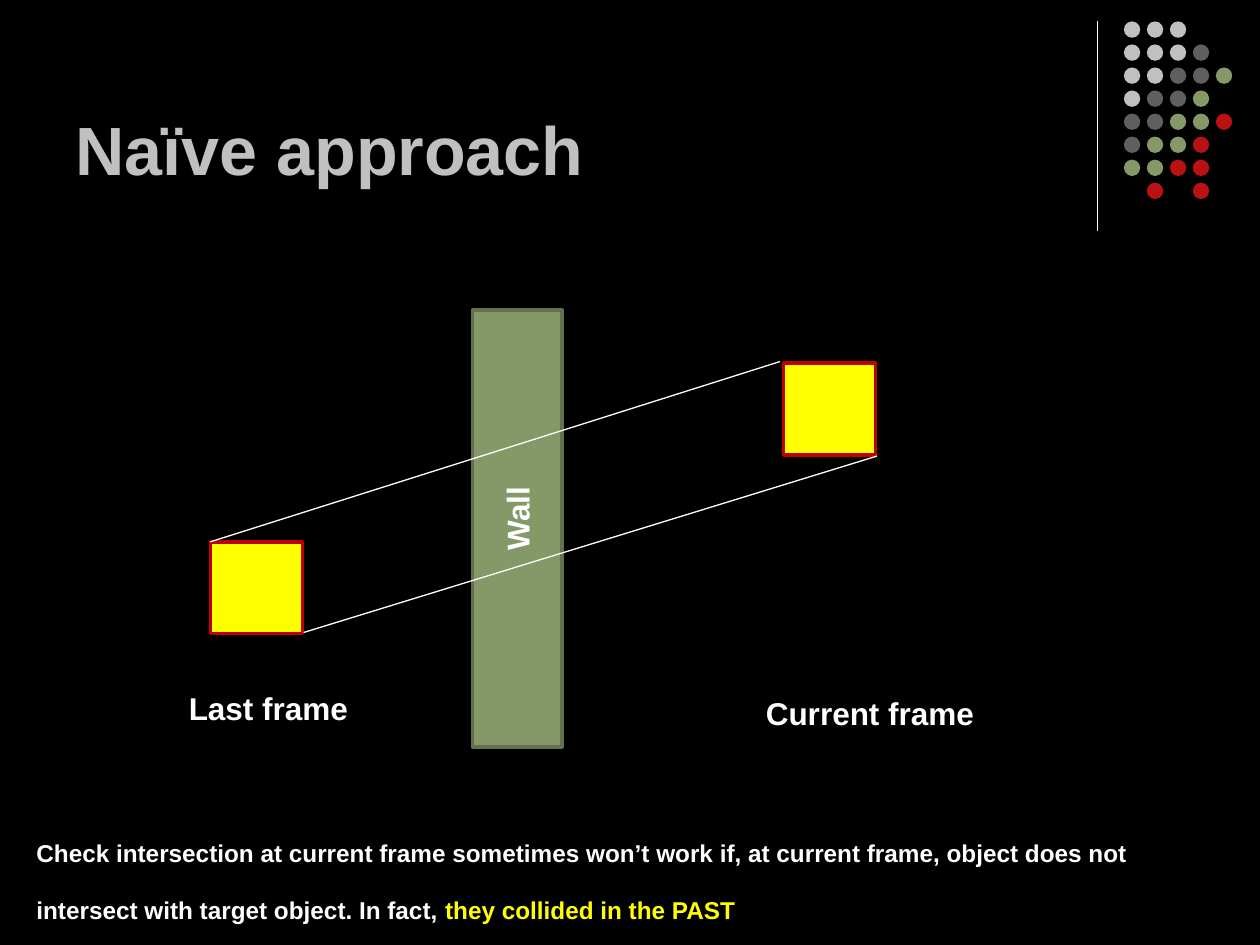
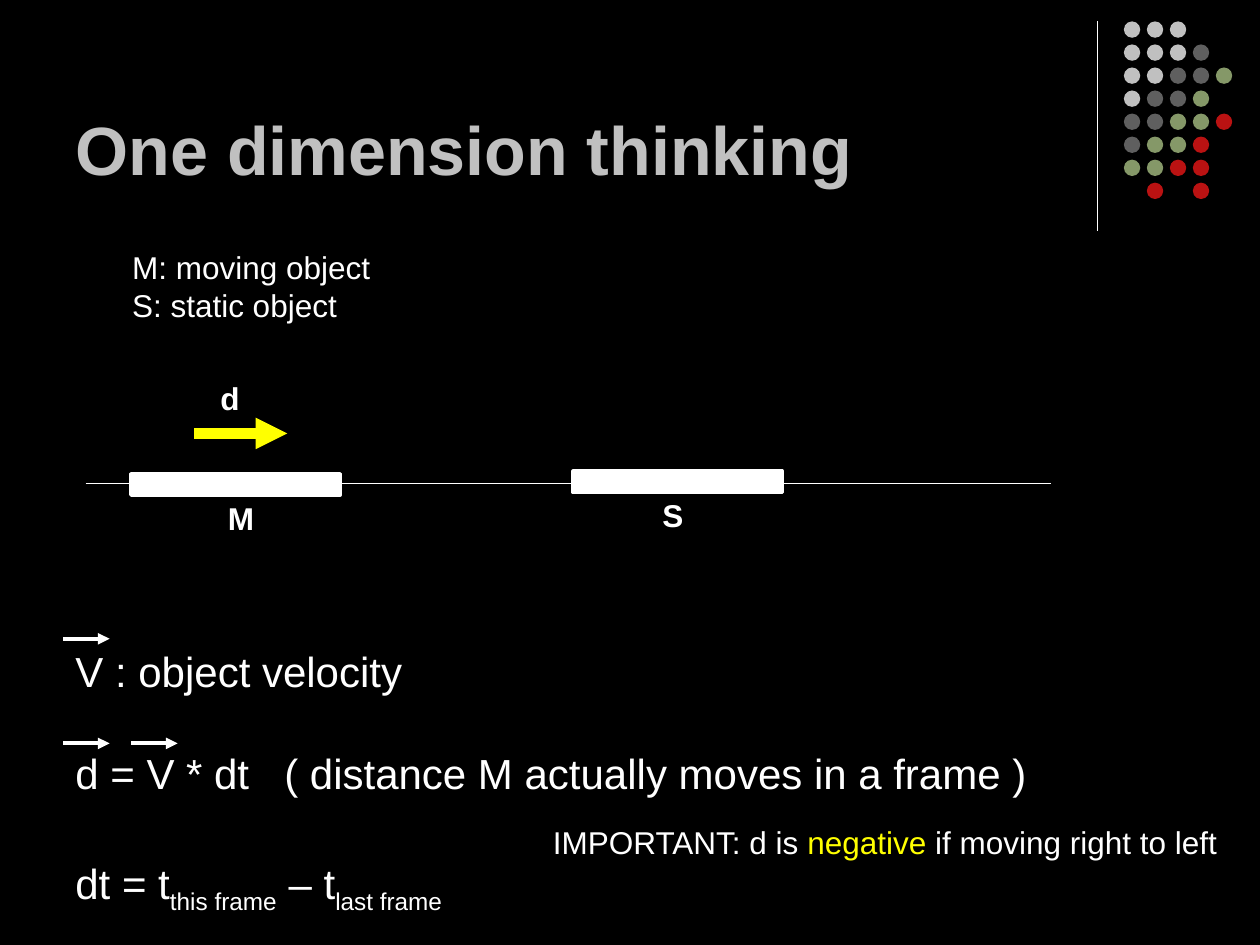
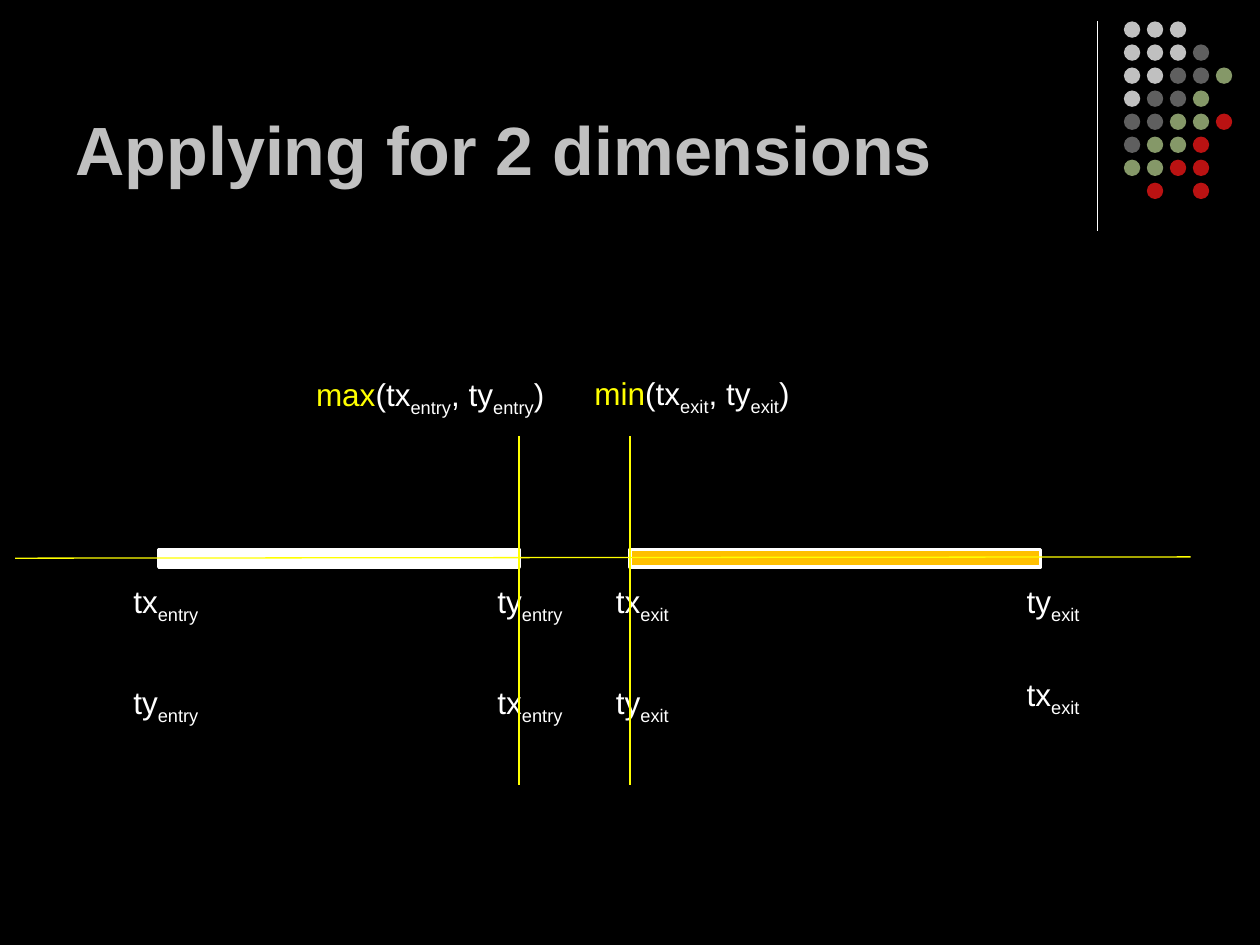
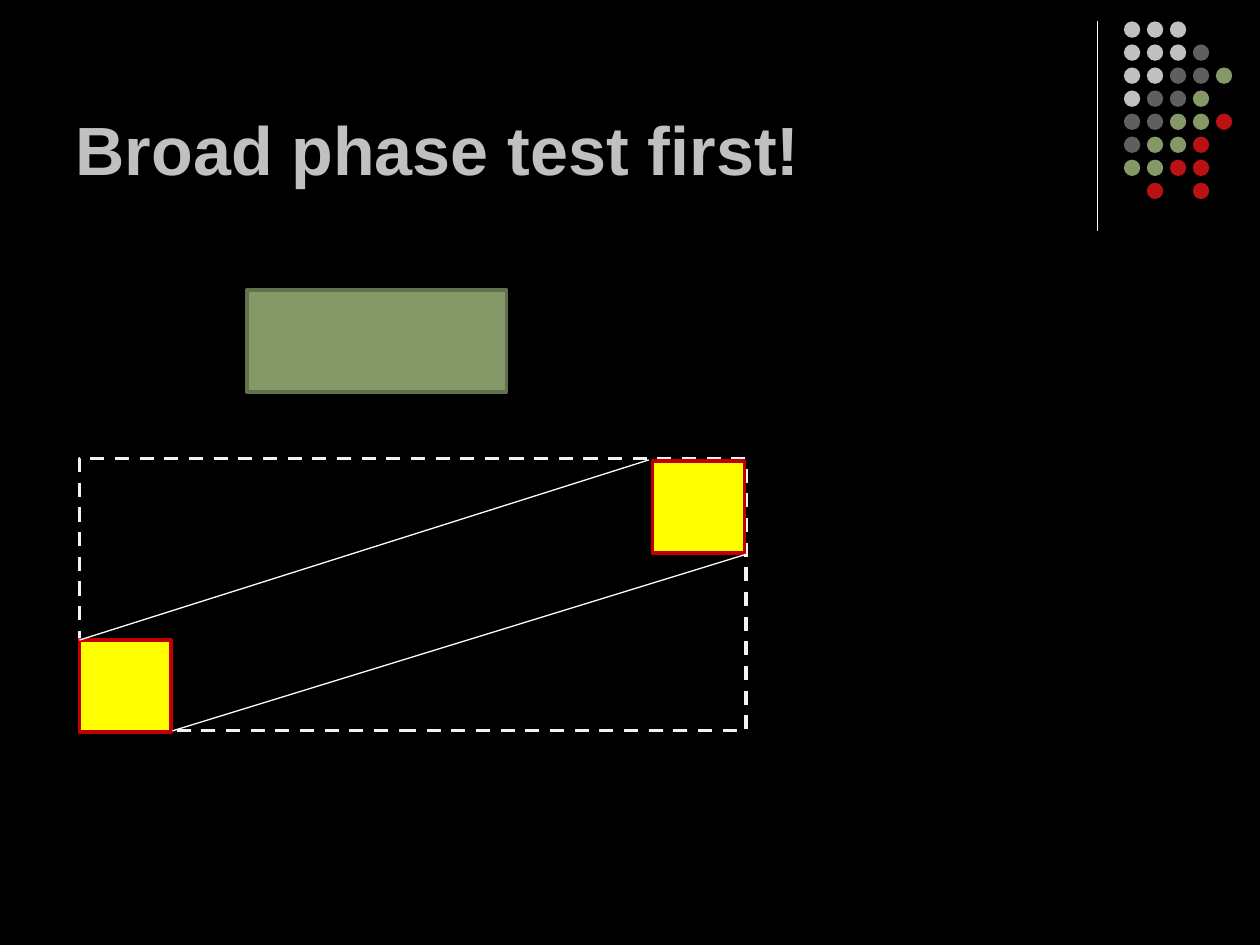
from typing import NamedTuple

from lxml import etree
from pptx import Presentation
from pptx import util as u
from pptx.dml.color import RGBColor
from pptx.enum import dml, shapes, text
from pptx.oxml import ns

FONT = "Arial"
BLACK, WHITE, SILVER, GREY = "000000", "FFFFFF", "C0C0C0", "5F5F5F"
GREEN, MOSS, RED, CRIMSON = "859868", "62704D", "BA1212", "C00000"
YELLOW, AMBER, PALE = "FFFF00", "FFC000", "F2F2F2"

DOTS = ("lll", "llld", "llddg", "lddg", "ddggr", "dggr", "ggrr", " r r")
TINTS = {"l": SILVER, "d": GREY, "g": GREEN, "r": RED}


class Box(NamedTuple):
    x: float
    y: float
    w: float
    h: float

    def place(self) -> tuple:
        return tuple(u.Inches(v) for v in self)


class Run(NamedTuple):
    words: str
    tint: str = ""
    base: int = 0
    track: float = 0


class Para(NamedTuple):
    runs: tuple
    before: float = 0


class Look(NamedTuple):
    size: float = 18
    bold: bool = False
    wrap: bool = True
    indent: float = 0


class Line(NamedTuple):
    x1: float
    y1: float
    x2: float
    y2: float
    tint: str = WHITE
    width: float = 0.75
    arrow: bool = False


PLAIN = Look(wrap=False)
NAME = Look(bold=True)
MARK = Look(bold=True, wrap=False)


def rgb(tint: str) -> RGBColor:
    return RGBColor.from_string(tint)


def sub(words: str) -> Run:
    return Run(words, base=-25)


def style(para, size: float, tint: str, bold: bool) -> None:
    font = para.font
    font.name, font.size, font.bold = FONT, u.Pt(size), bold
    font.color.rgb = rgb(tint)


def write(slide, box: Box, paras: tuple, look: Look = NAME):
    """Add a text box; a plain string stands for a one-run paragraph."""
    label = slide.shapes.add_textbox(*box.place())
    frame = label.text_frame
    frame.word_wrap = look.wrap
    frame.auto_size = text.MSO_AUTO_SIZE.SHAPE_TO_FIT_TEXT
    for i, item in enumerate(paras):
        item = Para((Run(item),)) if isinstance(item, str) else item
        para = frame.add_paragraph() if i else frame.paragraphs[0]
        style(para, look.size, WHITE, look.bold)
        if item.before:
            para.space_before = u.Pt(item.before)
        if look.indent:
            para._p.get_or_add_pPr().set("marL", str(u.Inches(look.indent)))
        for part in item.runs:
            run = para.add_run()
            run.text = part.words
            if part.tint:
                run.font.color.rgb = rgb(part.tint)
            props = run._r.get_or_add_rPr()
            if part.base:
                props.set("baseline", str(part.base * 1000))
            if part.track:
                props.set("spc", str(round(part.track * 100)))
    return label


def draw(slide, line: Line):
    ends = (u.Inches(v) for v in line[:4])
    link = slide.shapes.add_connector(shapes.MSO_CONNECTOR.STRAIGHT, *ends)
    link.line.color.rgb = rgb(line.tint)
    link.line.width = u.Pt(line.width)
    if line.arrow:
        etree.SubElement(link.line._get_or_add_ln(), ns.qn("a:tailEnd"), type="triangle")
    etree.SubElement(link.element.spPr, ns.qn("a:effectLst"))
    return link


def block(tree, box: Box, fill: str = "", edge: str = "", oval: bool = False):
    kind = shapes.MSO_SHAPE.OVAL if oval else shapes.MSO_SHAPE.RECTANGLE
    shape = tree.add_shape(kind, *box.place())
    shape.shadow.inherit = False
    if fill:
        shape.fill.solid()
        shape.fill.fore_color.rgb = rgb(fill)
    else:
        shape.fill.background()
    if edge:
        shape.line.color.rgb = rgb(edge)
        shape.line.width = u.Pt(2)
    else:
        shape.line.fill.background()
    return shape


def start(deck, title: str):
    slide = deck.slides.add_slide(deck.slide_layouts[5])
    head = slide.shapes.title
    head.left, head.top, head.width, head.height = Box(0.5, 0.13, 8.25, 1.42).place()
    frame = head.text_frame
    frame.text = title
    frame.word_wrap = True
    frame.auto_size = text.MSO_AUTO_SIZE.NONE
    frame.vertical_anchor = text.MSO_ANCHOR.BOTTOM
    para = frame.paragraphs[0]
    para.alignment = text.PP_ALIGN.LEFT
    style(para, 39, SILVER, True)
    return slide


def brand(deck, slide) -> None:
    """Draw the rule and dot pattern, then move them to the shared layout."""
    back = deck.slide_master.background.fill
    back.solid()
    back.fore_color.rgb = rgb(BLACK)
    layout = slide.slide_layout
    for holder in list(layout.placeholders):
        if holder.placeholder_format.type != shapes.PP_PLACEHOLDER.TITLE:
            holder.element.getparent().remove(holder.element)
    rule = draw(slide, Line(8.71, 0.17, 8.71, 1.83))
    group = slide.shapes.add_group_shape()
    for r, row in enumerate(DOTS):
        for c, key in enumerate(row):
            if key in TINTS:
                dot = Box(8.92 + c * 0.73 / 4, 0.17 + r * 1.28 / 7, 0.13, 0.13)
                block(group.shapes, dot, TINTS[key], oval=True)
    for item in (rule, group):
        layout.shapes.element.append(item.element)


def sweep(slide, x: float, y: float) -> None:
    """Draw a square, its later place and the edges of its course."""
    side, dx, dy = 0.73, 4.55, -1.42
    for left, top in ((x + dx, y + dy), (x, y)):
        block(slide.shapes, Box(left, top, side, side), YELLOW, CRIMSON)
    draw(slide, Line(x + 0.74, y + 0.72, x + 5.29, y - 0.68))
    draw(slide, Line(x, y, x + 4.52, y - 1.43))


def naive(deck) -> None:
    slide = start(deck, "Naïve approach")
    brand(deck, slide)
    block(slide.shapes, Box(3.75, 2.46, 0.71, 3.47), GREEN, MOSS)
    sweep(slide, 1.67, 4.3)
    write(slide, Box(1.4, 5.42, 1.54, 0.4), ("Last frame",))
    note = Para((
        sub("Check intersection at current frame sometimes won’t work if, at current "
            "frame, object does not intersect with target object. In fact, "),
        Run("they collided in the PAST", YELLOW, -25),
    ))
    write(slide, Box(0.19, 6.38, 9.42, 0.64), (note,), Look(24, True))
    write(slide, Box(3.71, 3.87, 0.79, 0.4), ("Wall",)).rotation = 270
    write(slide, Box(5.98, 5.46, 1.93, 0.4), ("Current frame",))


def single(deck) -> None:
    slide = start(deck, "One dimension thinking")
    draw(slide, Line(0.68, 3.84, 8.34, 3.84))
    for x, y in ((4.55, 3.74), (1.04, 3.76)):
        block(slide.shapes, Box(x, y, 1.66, 0.17), WHITE, WHITE)
    draw(slide, Line(1.54, 3.44, 2.28, 3.44, YELLOW, 6, True))
    for mark, x, y, w in (("d", 1.65, 2.96, 0.37), ("M", 1.71, 3.91, 0.41),
                          ("S", 5.16, 3.89, 0.37)):
        write(slide, Box(x, y, w, 0.4), (mark,), MARK)
    rules = (
        "V : object velocity",
        Para((Run("d = V * dt"), Run(" ", track=13.3),
              Run("( distance M actually moves in a frame )")), 30),
        Para((Run("dt = t"), sub("this frame"), Run(" – t"), sub("last frame")), 34),
    )
    write(slide, Box(0.5, 5.07, 8.38, 2.12), rules, Look(24))
    hint = Para((Run("IMPORTANT: d is "), Run("negative", YELLOW),
                 Run(" if moving right to left")))
    write(slide, Box(4.29, 6.48, 5.59, 0.4), (hint,), Look())
    write(slide, Box(0.95, 1.92, 4.05, 0.71),
          ("M: moving object", "S: static object"), Look())
    for x, y in ((0.5, 5.07), (1.04, 5.9), (0.5, 5.9)):
        draw(slide, Line(x, y, x + 0.37, y, WHITE, 2.25, True))


def double(deck) -> None:
    slide = start(deck, "Applying for 2 dimensions")
    block(slide.shapes, Box(5, 4.36, 3.26, 0.14), AMBER, WHITE)
    block(slide.shapes, Box(1.26, 4.36, 2.86, 0.14), WHITE, WHITE)
    for x, low, w, event, pair in ((0.96, 5.37, 0.77, "entry", ("tx", "ty")),
                                   (3.85, 5.37, 0.77, "entry", ("ty", "tx")),
                                   (4.79, 5.37, 0.66, "exit", ("tx", "ty")),
                                   (8.05, 5.31, 0.66, "exit", ("ty", "tx"))):
        for y, time in zip((4.57, low), pair):
            term = Para((Run(time), sub(event)))
            write(slide, Box(x, y, w, 0.4), (term,), PLAIN)
    draw(slide, Line(0.12, 4.43, 9.45, 4.42, YELLOW))
    for x in (4.12, 5):
        draw(slide, Line(x, 3.46, x, 6.23, YELLOW))
    for func, event, box in (("min", "exit", Box(4.12, 2.92, 2.34, 0.4)),
                             ("max", "entry", Box(1.91, 2.93, 2.62, 0.4))):
        call = Para((Run(func, YELLOW), Run("(tx"), sub(event),
                     Run(", ty"), sub(event), Run(")")))
        write(slide, box, (call,), PLAIN._replace(indent=0.5))


def broad(deck) -> None:
    slide = start(deck, "Broad phase test first!")
    block(slide.shapes, Box(1.96, 2.3, 2.06, 0.81), GREEN, MOSS)
    bounds = block(slide.shapes, Box(0.63, 3.64, 5.29, 2.16), edge=PALE)
    bounds.line.dash_style = dml.MSO_LINE.DASH
    sweep(slide, 0.63, 5.08)


def main() -> None:
    deck = Presentation()
    deck.slide_width, deck.slide_height = u.Inches(10), u.Inches(7.5)
    for build in (naive, single, double, broad):
        build(deck)
    deck.save("out.pptx")


if __name__ == "__main__":
    main()
